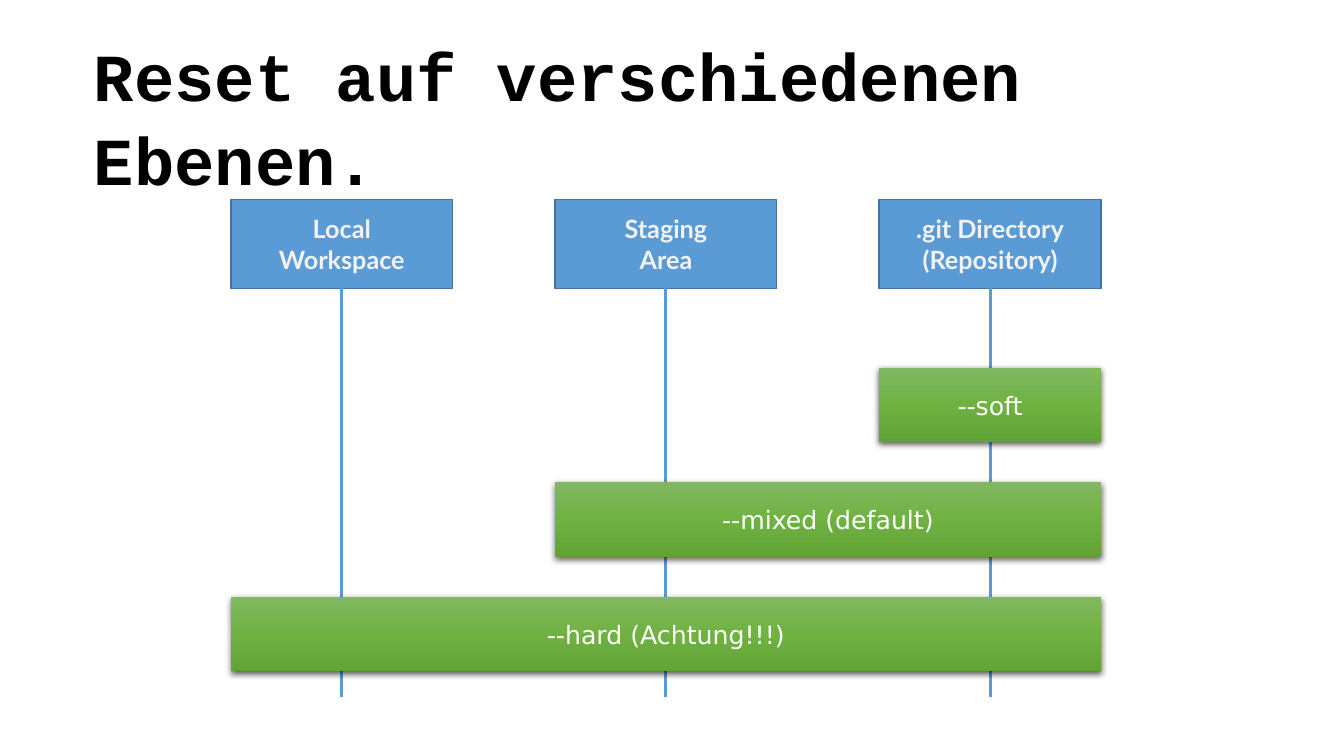
from copy import deepcopy

from lxml import etree
from pptx import Presentation
from pptx.dml.color import RGBColor
from pptx.enum.shapes import MSO_CONNECTOR, MSO_SHAPE
from pptx.enum.text import MSO_ANCHOR, MSO_AUTO_SIZE, PP_ALIGN
from pptx.oxml import parse_xml
from pptx.oxml.ns import nsdecls, qn
from pptx.util import Inches, Pt

RECTANGLE = MSO_SHAPE.RECTANGLE
STRAIGHT = MSO_CONNECTOR.STRAIGHT
CENTER = PP_ALIGN.CENTER
TOP, MIDDLE = MSO_ANCHOR.TOP, MSO_ANCHOR.MIDDLE
LEFT = PP_ALIGN.LEFT
NO_AUTOFIT = MSO_AUTO_SIZE.NONE

BLACK = RGBColor(0x00, 0x00, 0x00)
WHITE = RGBColor(0xFF, 0xFF, 0xFF)
LIGHT_GRAY = RGBColor(0xF2, 0xF2, 0xF2)
BLUE = RGBColor(0x5B, 0x9B, 0xD5)
DARK_BLUE = RGBColor(0x43, 0x73, 0x9E)
GREENS = [RGBColor(0x81, 0xB8, 0x61), RGBColor(0x6F, 0xB2, 0x42), RGBColor(0x62, 0xA3, 0x36)]

AREAS = ["Local\nWorkspace", "Staging\nArea", ".git Directory\n(Repository)"]
# Label and index of the leftmost area that the reset reaches
RESETS = [("--soft", 2), ("--mixed (default)", 1), ("--hard (Achtung!!!)", 0)]

AREA_LEFT, AREA_TOP, AREA_WIDTH, AREA_HEIGHT = 2.29, 1.98, 2.2, 0.88
AREA_STEP = 3.215
LIFELINE_BOTTOM = 6.91
BAR_TOP, BAR_HEIGHT, BAR_STEP = 3.65, 0.74, 1.135
BARS_RIGHT = AREA_LEFT + 2 * AREA_STEP + AREA_WIDTH

SHADOW = (
    f'<a:outerShdw {nsdecls("a")} blurRad="57150" dist="19050" dir="5400000" '
    'algn="ctr" rotWithShape="0"><a:srgbClr val="000000"><a:alpha val="63000"/>'
    "</a:srgbClr></a:outerShdw>"
)


def add_labelled_box(left, top, width, height, text, font_name, color, bold):
    box = slide.shapes.add_shape(
        RECTANGLE, Inches(left), Inches(top), Inches(width), Inches(height)
    )
    box.shadow.inherit = False
    text_frame = box.text_frame
    text_frame.text = text
    text_frame.word_wrap = True
    text_frame.vertical_anchor = MIDDLE
    for paragraph in text_frame.paragraphs:
        paragraph.alignment = CENTER
        paragraph.font.name = font_name
        paragraph.font.size = Pt(18)
        paragraph.font.bold = bold
        paragraph.font.color.rgb = color
    return box


presentation = Presentation()
presentation.slide_width = Inches(13.33)
presentation.slide_height = Inches(7.5)
slide = presentation.slides.add_slide(presentation.slide_layouts[5])

title = slide.shapes.title
title.left, title.top = Inches(0.83), Inches(0.26)
title.width, title.height = Inches(11.67), Inches(0.91)
title.text_frame.text = "Reset auf verschiedenen Ebenen."
title.text_frame.word_wrap = True
title.text_frame.auto_size = NO_AUTOFIT
title.text_frame.vertical_anchor = TOP
paragraph = title.text_frame.paragraphs[0]
paragraph.alignment = LEFT
paragraph.space_before = Pt(8)
paragraph.line_spacing = 1.04
paragraph.font.name = "Courier New"
paragraph.font.size = Pt(48)
paragraph.font.bold = True
paragraph.font.color.rgb = BLACK

for index, area in enumerate(AREAS):
    left = AREA_LEFT + index * AREA_STEP
    box = add_labelled_box(
        left, AREA_TOP, AREA_WIDTH, AREA_HEIGHT, area, "Lato", LIGHT_GRAY, True
    )
    box.fill.solid()
    box.fill.fore_color.rgb = BLUE
    box.line.color.rgb = DARK_BLUE
    box.line.width = Pt(1)

    center = Inches(left + AREA_WIDTH / 2)
    lifeline = slide.shapes.add_connector(
        STRAIGHT, center, Inches(AREA_TOP + AREA_HEIGHT), center, Inches(LIFELINE_BOTTOM)
    )
    lifeline.line.color.rgb = BLUE
    lifeline.line.width = Pt(2.25)
    etree.SubElement(lifeline._element.spPr, qn("a:effectLst"))

for row, (label, first_area) in enumerate(RESETS):
    left = AREA_LEFT + first_area * AREA_STEP
    bar = add_labelled_box(
        left, BAR_TOP + row * BAR_STEP, BARS_RIGHT - left, BAR_HEIGHT,
        label, "DejaVu Sans", WHITE, False,
    )
    bar.line.fill.background()
    bar.fill.gradient()
    bar.fill.gradient_angle = 270
    properties = bar._element.spPr
    first_stop = properties.find(".//" + qn("a:gs"))
    first_stop.addnext(deepcopy(first_stop))
    for stop, color, position in zip(bar.fill.gradient_stops, GREENS, (0, 0.5, 1)):
        stop.color.rgb = color
        stop.position = position
    properties.find(qn("a:effectLst")).append(parse_xml(SHADOW))

presentation.save("out.pptx")
